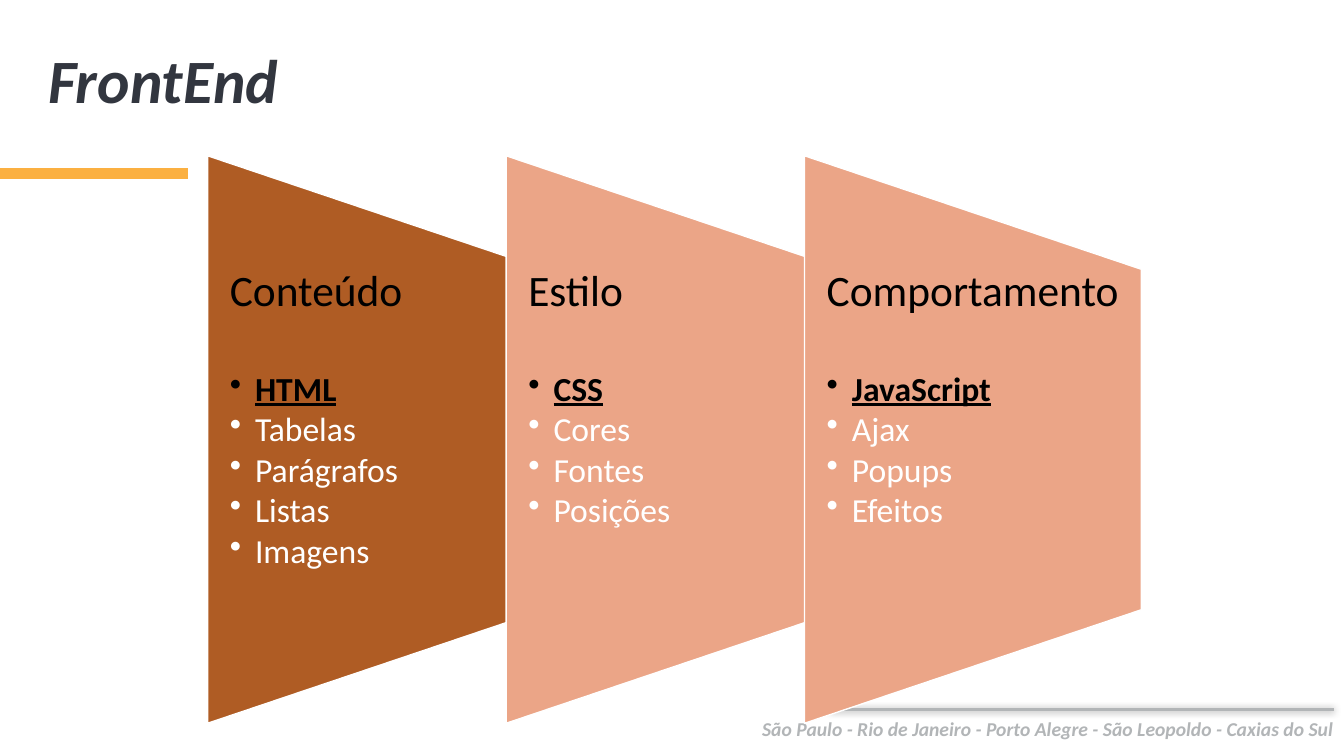
from dataclasses import dataclass

from lxml import etree
from pptx import Presentation
from pptx.dml.color import RGBColor
from pptx.enum import shapes, text
from pptx.oxml import ns
from pptx.util import Inches, Pt


@dataclass(frozen=True)
class Theme:
    font: str = "Calibri"
    dark: str = "32363F"
    accent: str = "FBB041"
    grey: str = "B2B5B7"
    active: str = "AF5C24"
    muted: str = "EBA587"
    black: str = "000000"
    white: str = "FFFFFF"
    title_size: int = 44
    heading_size: int = 31
    body_size: int = 24
    footer_size: int = 14


def color(value):
    return RGBColor.from_string(value)


class SlideBuilder:
    def __init__(self, slide, theme):
        self.slide = slide
        self.theme = theme

    def line(self, left, right, y, line_color, width, shadow=False):
        connector = self.slide.shapes.add_connector(
            shapes.MSO_CONNECTOR.STRAIGHT, Inches(left), Inches(y), Inches(right), Inches(y))
        connector.line.color.rgb = color(line_color)
        connector.line.width = Pt(width)
        effects = etree.SubElement(connector._element.spPr, ns.qn("a:effectLst"))
        if shadow:
            outer = etree.SubElement(effects, ns.qn("a:outerShdw"), blurRad=str(Pt(5)),
                                     dist="0", dir="0", rotWithShape="0")
            shade = etree.SubElement(outer, ns.qn("a:srgbClr"), val=self.theme.black)
            etree.SubElement(shade, ns.qn("a:alpha"), val="40000")

    def text_box(self, left, top, width, height, anchor=text.MSO_ANCHOR.TOP):
        box = self.slide.shapes.add_textbox(
            Inches(left), Inches(top), Inches(width), Inches(height))
        frame = box.text_frame
        frame.word_wrap = True
        frame.vertical_anchor = anchor
        return frame

    def run(self, paragraph, words, size, font_color, bold=False, italic=False, underline=False):
        run = paragraph.add_run()
        run.text = words
        font = run.font
        font.name = self.theme.font
        font.size = Pt(size)
        font.color.rgb = color(font_color)
        font.bold = bold
        font.italic = italic
        font.underline = underline

    def title(self, words):
        frame = self.text_box(0.38, 0.1, 11.5, 1.45, text.MSO_ANCHOR.MIDDLE)
        paragraph = frame.paragraphs[0]
        paragraph.line_spacing = 0.9
        self.run(paragraph, words, self.theme.title_size, self.theme.dark, bold=True, italic=True)

    def footer(self, words):
        paragraph = self.text_box(5.44, 7.06, 7.89, 0.34).paragraphs[0]
        paragraph.alignment = text.PP_ALIGN.RIGHT
        self.run(paragraph, words, self.theme.footer_size, self.theme.grey, bold=True, italic=True)

    def bullet(self, frame, words, font_color, strong):
        paragraph = frame.add_paragraph()
        paragraph.line_spacing = 0.9
        paragraph.space_after = Pt(3)
        properties = paragraph._p.get_or_add_pPr()
        properties.set("marL", str(Inches(0.25)))
        properties.set("indent", str(Inches(-0.25)))
        etree.SubElement(properties, ns.qn("a:buChar"), char="•")
        self.run(paragraph, words, self.theme.body_size, font_color, bold=strong, underline=strong)

    def panel(self, left, fill, heading, technology, topics):
        width, height, middle = 3.34, 5.63, 4.36
        shape = self.slide.shapes.add_shape(
            shapes.MSO_SHAPE.FLOWCHART_MANUAL_OPERATION,
            Inches(left + (width - height) / 2), Inches(middle - width / 2),
            Inches(height), Inches(width))
        shape.rotation = 270
        shape.shadow.inherit = False
        shape.fill.solid()
        shape.fill.fore_color.rgb = color(fill)
        shape.line.color.rgb = color(self.theme.white)
        shape.line.width = Pt(1)

        frame = self.text_box(left, 2.67, width, 3.38)
        frame.margin_left = frame.margin_right = Inches(0.22)
        frame.margin_top = frame.margin_bottom = 0
        paragraph = frame.paragraphs[0]
        paragraph.line_spacing = 0.9
        paragraph.space_after = Pt(40)
        self.run(paragraph, heading, self.theme.heading_size, self.theme.black)
        self.bullet(frame, technology, self.theme.black, True)
        for topic in topics:
            self.bullet(frame, topic, self.theme.white, False)


def main():
    presentation = Presentation()
    presentation.slide_width = Inches(13.33)
    presentation.slide_height = Inches(7.5)
    theme = Theme()
    builder = SlideBuilder(presentation.slides.add_slide(presentation.slide_layouts[6]), theme)

    builder.line(0, 1.86, 1.72, theme.accent, 7.75)
    builder.line(8.23, 13.23, 7.04, theme.grey, 2.25, shadow=True)
    builder.footer("São Paulo - Rio de Janeiro - Porto Alegre - São Leopoldo - Caxias do Sul")
    builder.title("FrontEnd")

    panels = [
        (theme.active, "Conteúdo", "HTML", ["Tabelas", "Parágrafos", "Listas", "Imagens"]),
        (theme.muted, "Estilo", "CSS", ["Cores", "Fontes", "Posições"]),
        (theme.muted, "Comportamento", "JavaScript", ["Ajax", "Popups", "Efeitos"]),
    ]
    for index, panel in enumerate(panels):
        builder.panel(2.06 + 2.96 * index, *panel)
    presentation.save("out.pptx")


if __name__ == "__main__":
    main()
